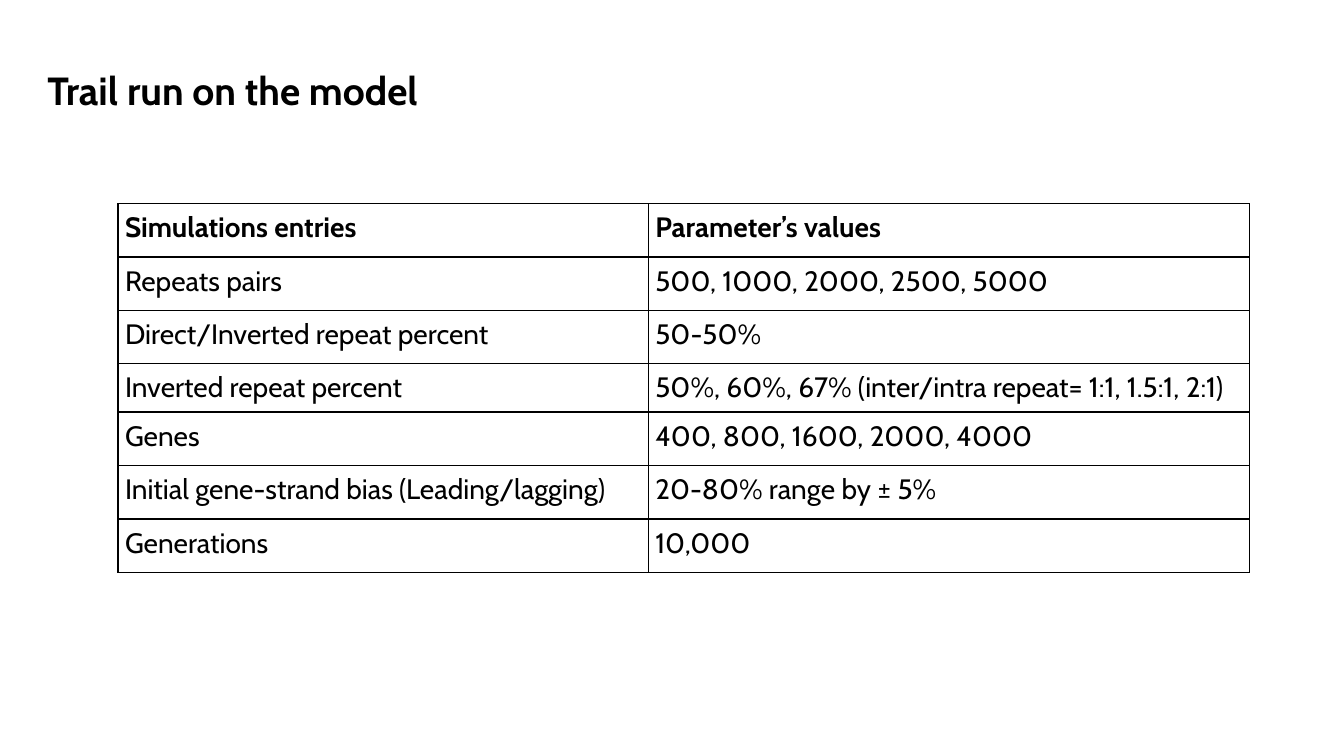
"""Build the slide listing the parameters of the model's trial run."""
from lxml import etree
from pptx import Presentation
from pptx import util as u
from pptx.dml.color import RGBColor
from pptx.enum import text
from pptx.oxml import ns

TITLE = "Trail run on the model"
ROWS = [
    ("Simulations entries", "Parameter’s values"),
    ("Repeats pairs", "500, 1000, 2000, 2500, 5000"),
    ("Direct/Inverted repeat percent", "50-50%"),
    ("Inverted repeat percent", "50%, 60%, 67% (inter/intra repeat= 1:1, 1.5:1, 2:1)"),
    ("Genes", "400, 800, 1600, 2000, 4000"),
    ("Initial gene-strand bias (Leading/lagging)", "20-80% range by ± 5%"),
    ("Generations", "10,000"),
]
COLS = (5.26, 5.96)
TALL, SHORT, TIGHT = 0.53, 0.47, 3
LEFT, TOP = 1.17, 2.02
PAD = u.Inches(0.07)
FONT = "Cabin"
BLACK = RGBColor(0, 0, 0)
WHITE = RGBColor(255, 255, 255)


def write(frame, words, size, bold):
    """Add one styled run to the first paragraph."""
    para = frame.paragraphs[0]
    para.alignment = text.PP_ALIGN.LEFT
    run = para.add_run()
    run.text = words
    font = run.font
    font.name, font.size, font.bold = FONT, u.Pt(size), bold
    font.color.rgb = BLACK
    return para


def border(cell):
    """Draw a one-point line on all four sides of a cell."""
    props = cell._tc.get_or_add_tcPr()
    for spot, side in enumerate(("lnL", "lnR", "lnT", "lnB")):
        line = etree.Element(ns.qn("a:" + side), w=str(u.Pt(1)))
        fill = etree.SubElement(line, ns.qn("a:solidFill"))
        etree.SubElement(fill, ns.qn("a:srgbClr"), val=str(BLACK))
        props.insert(spot, line)


def head(slide):
    """Place and fill the title."""
    title = slide.shapes.title
    title.left, title.top = u.Inches(0.37), u.Inches(0.2)
    title.width, title.height = u.Inches(11.5), u.Inches(1.45)
    frame = title.text_frame
    frame.word_wrap = True
    frame.auto_size = text.MSO_AUTO_SIZE.NONE
    frame.vertical_anchor = text.MSO_ANCHOR.MIDDLE
    write(frame, TITLE, 28, True).line_spacing = 0.9


def grid(slide):
    """Add the parameter table."""
    highs = [SHORT if row == TIGHT else TALL for row in range(len(ROWS))]
    box = [u.Inches(n) for n in (LEFT, TOP, sum(COLS), sum(highs))]
    table = slide.shapes.add_table(len(ROWS), len(COLS), *box).table
    table.horz_banding = False
    for col, wide in zip(table.columns, COLS):
        col.width = u.Inches(wide)
    for row, high in zip(table.rows, highs):
        row.height = u.Inches(high)
    for r, pair in enumerate(ROWS):
        for c, words in enumerate(pair):
            cell = table.cell(r, c)
            cell.margin_left = cell.margin_right = PAD
            cell.margin_top = cell.margin_bottom = PAD
            cell.fill.solid()
            cell.fill.fore_color.rgb = WHITE
            border(cell)
            write(cell.text_frame, words, 20, r == 0)


def main():
    """Assemble and save the deck."""
    deck = Presentation()
    deck.slide_width, deck.slide_height = u.Inches(13.33), u.Inches(7.5)
    slide = deck.slides.add_slide(deck.slide_layouts[5])
    grid(slide)
    head(slide)
    deck.save("out.pptx")


if __name__ == "__main__":
    main()
